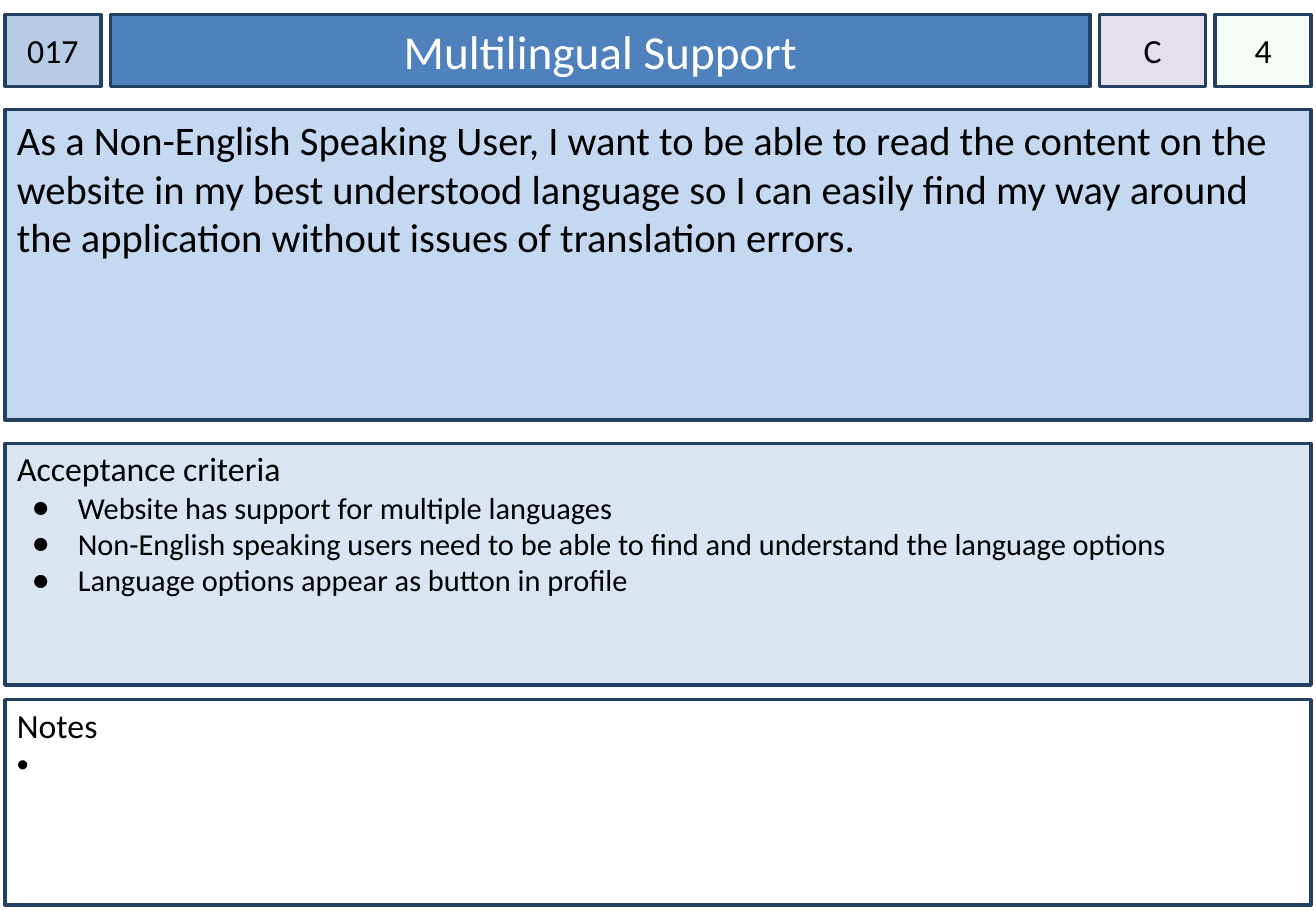
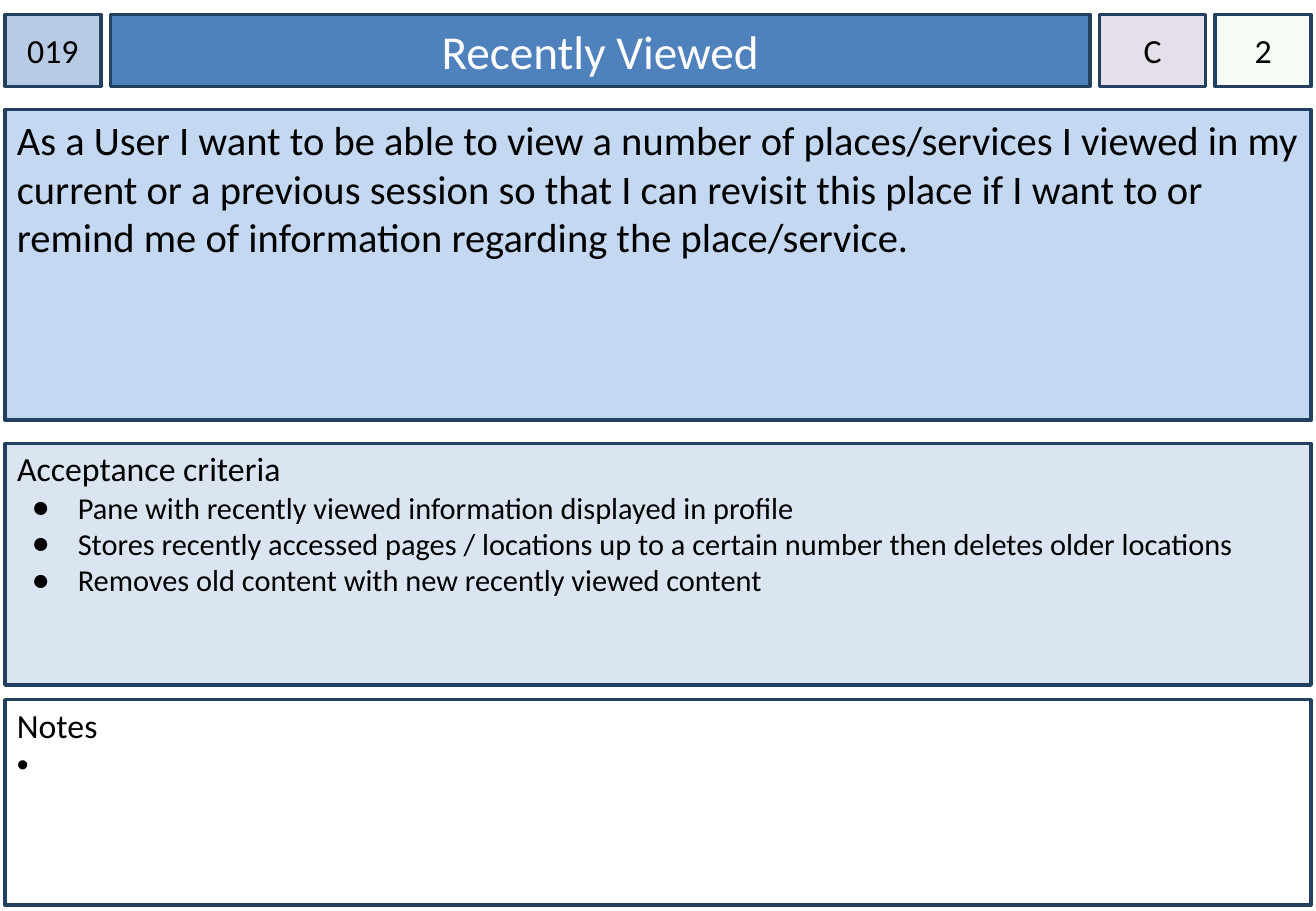
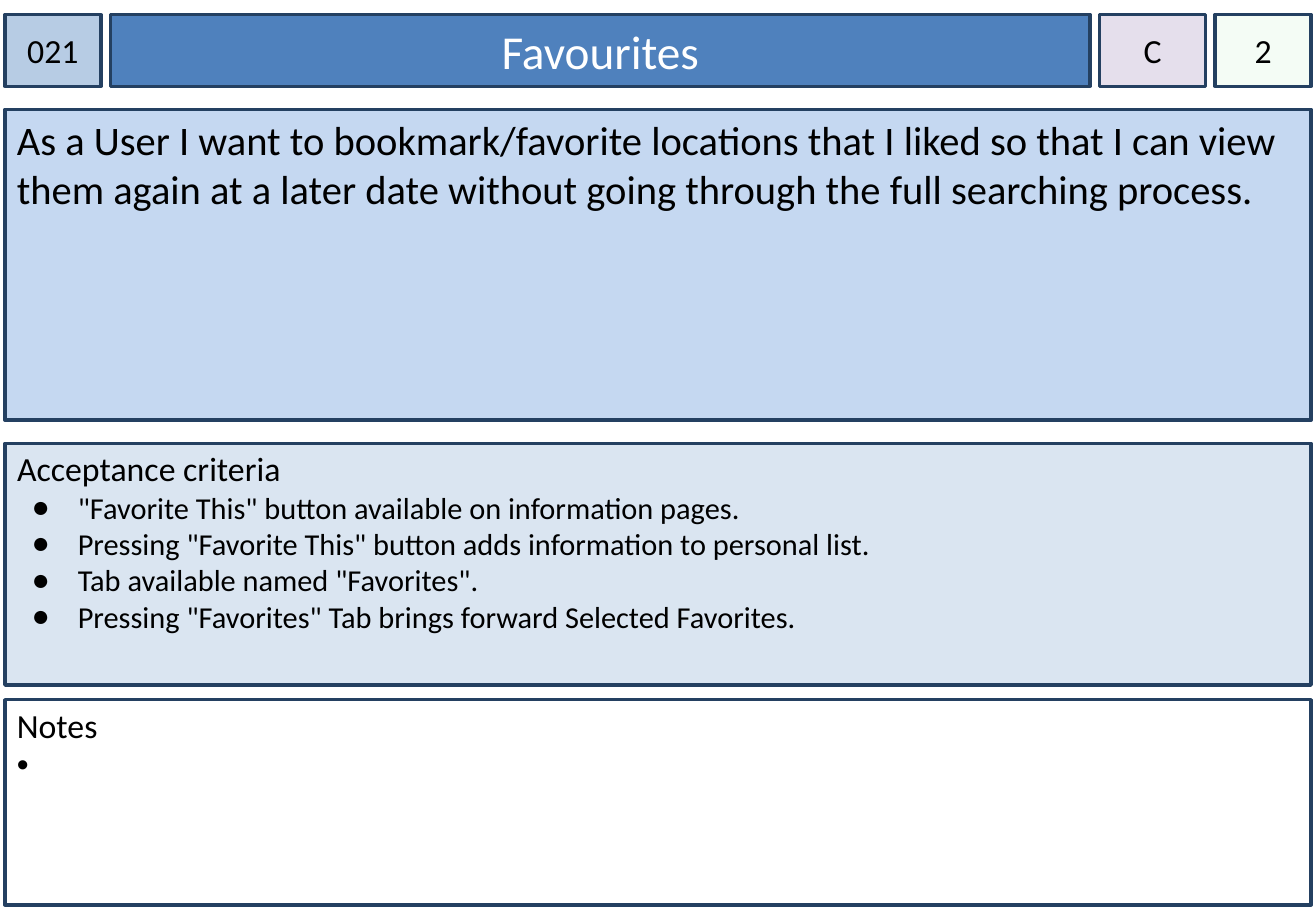
from dataclasses import dataclass
from itertools import accumulate
from typing import Any

from lxml import etree
from pptx import Presentation
from pptx import util as u
from pptx.dml.color import RGBColor
from pptx.enum import shapes, text
from pptx.oxml import ns


@dataclass(frozen=True)
class Theme:
    font: str = "Calibri"
    ink: str = "000000"
    white: str = "FFFFFF"
    border: str = "244061"
    number: str = "B7CCE4"
    title: str = "4F81BD"
    priority: str = "E5DFEC"
    effort: str = "CCF0CD"
    effort_alpha: int = 20
    story: str = "C5D8F1"
    criteria: str = "DAE5F1"
    title_size: int = 28
    story_size: int = 24
    label_size: int = 20
    item_size: int = 18
    border_width: int = 2


@dataclass(frozen=True)
class Area:
    left: float
    top: float
    width: float
    height: float


@dataclass(frozen=True)
class Bullet:
    char: str
    margin: float
    indent: float


@dataclass(frozen=True)
class Line:
    content: str
    size: int
    color: str
    bullet: Bullet | None = None


@dataclass(frozen=True)
class Story:
    number: str
    title: str
    priority: str
    effort: str
    wish: str
    criteria: tuple[str, ...]


THEME = Theme()
WIDTH, HEIGHT = 10.83, 7.5
MARGIN, GAP = 0.04, 0.08
FULL = WIDTH - 2 * MARGIN
BADGE, PRIORITY = 0.79, 0.87
COLUMNS = (BADGE, FULL - 2 * BADGE - PRIORITY - 3 * GAP, PRIORITY, BADGE)
ROWS = (0.59, 2.56, 1.99, 1.69)
ROW_GAPS = (0.12, 0.19, 0.19, 0.12)
ROW_TOPS = [end - row for end, row in
            zip(accumulate(g + r for g, r in zip(ROW_GAPS, ROWS)), ROWS)]
CRITERION = Bullet("●", 0.5, -0.38)
NOTE = Bullet("•", 0.2, -0.2)

STORIES = (
    Story("017", "Multilingual Support", "C", "4",
          "As a Non-English Speaking User, I want to be able to read the content "
          "on the website in my best understood language so I can easily find my "
          "way around the application without issues of translation errors.",
          ("Website has support for multiple languages",
           "Non-English speaking users need to be able to find and understand "
           "the language options",
           "Language options appear as button in profile")),
    Story("019", "Recently Viewed", "C", "2",
          "As a User I want to be able to view a number of places/services I "
          "viewed in my current or a previous session so that I can revisit this "
          "place if I want to or remind me of information regarding the "
          "place/service.",
          ("Pane with recently viewed information displayed in profile",
           "Stores recently accessed pages / locations up to a certain number "
           "then deletes older locations",
           "Removes old content with new recently viewed content")),
    Story("021", "Favourites", "C", "2",
          "As a User I want to bookmark/favorite locations that I liked so that "
          "I can view them again at a later date without going through the full "
          "searching process.",
          ('"Favorite This" button available on information pages.',
           'Pressing "Favorite This" button adds information to personal list.',
           'Tab available named "Favorites".',
           'Pressing "Favorites" Tab brings forward Selected Favorites.')),
)


def header_area(column: int) -> Area:
    left = MARGIN + sum(COLUMNS[:column]) + column * GAP
    return Area(left, ROW_TOPS[0], COLUMNS[column], ROWS[0])


def panel_area(row: int) -> Area:
    return Area(MARGIN, ROW_TOPS[row], FULL, ROWS[row])


def add_box(slide: Any) -> Any:
    sp = slide.shapes.add_shape(shapes.MSO_SHAPE.RECTANGLE, 0, 0, 0, 0)
    sp.shadow.inherit = False
    return sp


def format_box(sp: Any, area: Area, fill: str, alpha: int = 100) -> None:
    sp.left, sp.top = u.Inches(area.left), u.Inches(area.top)
    sp.width, sp.height = u.Inches(area.width), u.Inches(area.height)
    sp.fill.solid()
    sp.fill.fore_color.rgb = RGBColor.from_string(fill)
    if alpha < 100:
        color = sp.fill._xPr.find(".//" + ns.qn("a:srgbClr"))
        etree.SubElement(color, ns.qn("a:alpha"), val=str(alpha * 1000))
    sp.line.color.rgb = RGBColor.from_string(THEME.border)
    sp.line.width = u.Pt(THEME.border_width)


def set_bullet(p: Any, bullet: Bullet | None) -> None:
    pPr = p._p.get_or_add_pPr()
    pPr.set("marL", str(u.Inches(bullet.margin if bullet else 0)))
    pPr.set("indent", str(u.Inches(bullet.indent if bullet else 0)))
    if bullet is None:
        etree.SubElement(pPr, ns.qn("a:buNone"))
        return
    color = etree.SubElement(pPr, ns.qn("a:buClr"))
    etree.SubElement(color, ns.qn("a:srgbClr"), val=THEME.ink)
    etree.SubElement(pPr, ns.qn("a:buFont"), typeface="Arial")
    etree.SubElement(pPr, ns.qn("a:buChar"), char=bullet.char)


def write(sp: Any, lines: list[Line], centred: bool = False,
          side: float = 0.1, top: float = 0.05) -> None:
    tf = sp.text_frame
    tf.word_wrap = True
    tf.auto_size = text.MSO_AUTO_SIZE.NONE
    tf.vertical_anchor = text.MSO_ANCHOR.MIDDLE if centred else text.MSO_ANCHOR.TOP
    tf.margin_left = tf.margin_right = u.Inches(side)
    tf.margin_top, tf.margin_bottom = u.Inches(top), u.Inches(0.05)
    for i, line in enumerate(lines):
        p = tf.add_paragraph() if i else tf.paragraphs[0]
        p.alignment = text.PP_ALIGN.CENTER if centred else text.PP_ALIGN.LEFT
        p.space_before = u.Pt(0)
        set_bullet(p, line.bullet)
        r = p.add_run()
        r.text = line.content
        r.font.name = THEME.font
        r.font.size = u.Pt(line.size)
        r.font.color.rgb = RGBColor.from_string(line.color)


def add_badge(slide: Any, column: int, label: str, fill: str,
              alpha: int = 100) -> None:
    sp = add_box(slide)
    format_box(sp, header_area(column), fill, alpha)
    write(sp, [Line(label, THEME.label_size, THEME.ink)], centred=True, side=0)


def add_list(sp: Any, row: int, fill: str, heading: str, items: tuple[str, ...],
             size: int, bullet: Bullet) -> None:
    format_box(sp, panel_area(row), fill)
    lines = [Line(heading, THEME.label_size, THEME.ink)]
    lines += [Line(item, size, THEME.ink, bullet) for item in items]
    write(sp, lines, top=0.04)


def add_story(prs: Any, story: Story) -> None:
    slide = prs.slides.add_slide(prs.slide_layouts[1])
    title, body = slide.shapes.title, slide.placeholders[1]

    add_badge(slide, 0, story.number, THEME.number)
    format_box(title, header_area(1), THEME.title)
    write(title, [Line(story.title, THEME.title_size, THEME.white)], centred=True)
    add_badge(slide, 2, story.priority, THEME.priority)
    add_badge(slide, 3, story.effort, THEME.effort, THEME.effort_alpha)

    wish = add_box(slide)
    format_box(wish, panel_area(1), THEME.story)
    write(wish, [Line(story.wish, THEME.story_size, THEME.ink)])

    add_list(body, 2, THEME.criteria, "Acceptance criteria", story.criteria,
             THEME.item_size, CRITERION)
    add_list(add_box(slide), 3, THEME.white, "Notes", (" ",),
             THEME.label_size, NOTE)


def main() -> None:
    prs = Presentation()
    prs.slide_width, prs.slide_height = u.Inches(WIDTH), u.Inches(HEIGHT)
    for story in STORIES:
        add_story(prs, story)
    prs.save("out.pptx")


if __name__ == "__main__":
    main()
